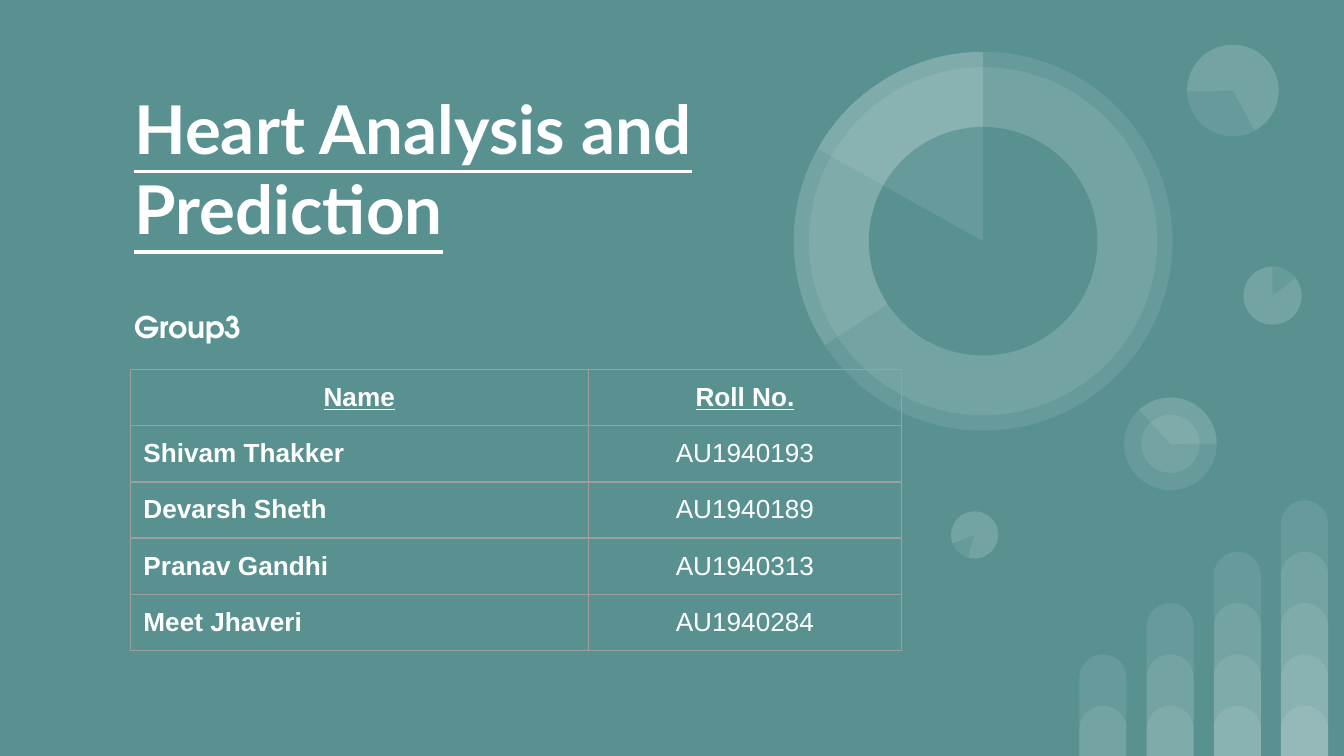
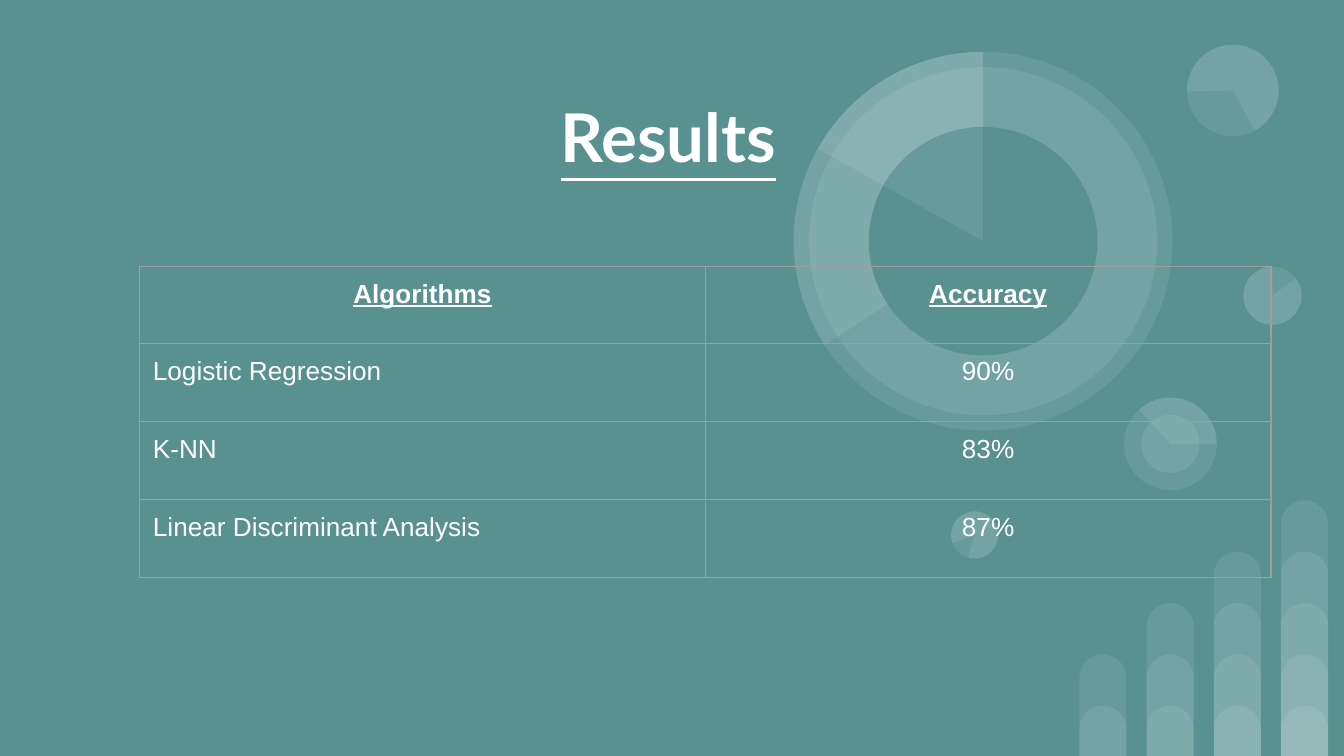
"""Build the two-slide deck on heart analysis and prediction."""
from dataclasses import dataclass

from lxml.etree import SubElement
from pptx import Presentation
from pptx.dml.color import RGBColor
from pptx.enum.shapes import MSO_SHAPE
from pptx.enum.text import MSO_ANCHOR, MSO_AUTO_SIZE, PP_ALIGN
from pptx.oxml import parse_xml
from pptx.oxml.ns import nsdecls, qn
from pptx.util import Cm, Pt


@dataclass(frozen=True)
class Theme:
    background: str = "599191"
    ink: str = "FFFFFF"
    border: str = "9E9E9E"
    border_width: float = 0.75
    opacity: int = 9
    inset: float = 0.25
    title_font: str = "Lato"
    subtitle_font: str = "TeX Gyre Adventor"
    table_font: str = "Arial"
    title_size: int = 36
    subtitle_size: int = 16
    table_size: int = 14


def write_text(frame, text, *, font, size, color, bold=False, underline=False,
               align=PP_ALIGN.LEFT):
    frame.text = text
    paragraph = frame.paragraphs[0]
    paragraph.alignment = align
    paragraph.space_before = Pt(0)
    style = paragraph.runs[0].font
    style.name, style.size = font, Pt(size)
    style.bold, style.underline = bold, underline
    style.color.rgb = RGBColor.from_string(color)


class Deck:
    WIDTH, HEIGHT = 25.4, 14.29
    TITLE_SLIDE, TITLE_ONLY = 0, 5

    def __init__(self, theme):
        self.theme = theme
        self.presentation = Presentation()
        self.presentation.slide_width = Cm(self.WIDTH)
        self.presentation.slide_height = Cm(self.HEIGHT)
        self.master = self.presentation.slide_master
        fill = self.master.background.fill
        fill.solid()
        fill.fore_color.rgb = RGBColor.from_string(theme.background)
        self.slide = None

    def new_slide(self, layout):
        layouts = self.presentation.slide_layouts
        self.slide = self.presentation.slides.add_slide(layouts[layout])

    def backdrop_shape(self, preset, box, adjustments=(), rotation=0, solid=False):
        shape = self.slide.shapes.add_shape(preset, *map(Cm, box))
        for index, value in enumerate(adjustments):
            shape.adjustments[index] = value
        shape.rotation = rotation
        shape.shadow.inherit = False
        shape.line.fill.background()
        shape.fill.solid()
        color = self.theme.background if solid else self.theme.ink
        shape.fill.fore_color.rgb = RGBColor.from_string(color)
        if not solid:
            tint = shape.element.xpath("./p:spPr/a:solidFill/a:srgbClr")[0]
            SubElement(tint, qn("a:alpha"), val=str(self.theme.opacity * 1000))
        siblings = self.master.shapes.element
        shape.element.xpath("./p:nvSpPr/p:cNvPr")[0].set("id", str(100 + len(siblings)))
        siblings.append(shape.element)

    def disc(self, center, diameter, rotation=0, solid=False):
        self.backdrop_shape(MSO_SHAPE.OVAL, self.around(center, diameter),
                            rotation=rotation, solid=solid)

    def sector(self, center, diameter, start, end=270, rotation=0):
        self.backdrop_shape(MSO_SHAPE.PIE, self.around(center, diameter),
                            (start * 0.6, end * 0.6), rotation)

    def bar(self, left, width, height):
        self.backdrop_shape(MSO_SHAPE.ROUND_2_SAME_RECTANGLE,
                            (left, self.HEIGHT - height, width, height), (0.5, 0))

    @staticmethod
    def around(center, diameter):
        x, y = center
        return x - diameter / 2, y - diameter / 2, diameter, diameter

    def placeholder(self, holder, text, box, anchor, **style):
        holder.left, holder.top, holder.width, holder.height = map(Cm, box)
        frame = holder.text_frame
        frame.word_wrap = True
        frame.auto_size = MSO_AUTO_SIZE.NONE
        frame.vertical_anchor = anchor
        frame.margin_left = frame.margin_right = Cm(self.theme.inset)
        frame.margin_top = frame.margin_bottom = Cm(self.theme.inset)
        write_text(frame, text, color=self.theme.ink, bold=True, **style)

    def title(self, text, box, align=PP_ALIGN.LEFT):
        self.placeholder(self.slide.shapes.title, text, box, MSO_ANCHOR.MIDDLE,
                         font=self.theme.title_font, size=self.theme.title_size,
                         underline=True, align=align)

    def subtitle(self, text, box):
        self.placeholder(self.slide.placeholders[1], text, box, MSO_ANCHOR.TOP,
                         font=self.theme.subtitle_font, size=self.theme.subtitle_size)

    def table(self, rows, left, top, widths, row_height, bold_labels=False):
        table = self.slide.shapes.add_table(
            len(rows), len(widths), Cm(left), Cm(top),
            Cm(sum(widths)), Cm(row_height * len(rows))).table
        table.first_row = table.horz_banding = False
        for column, width in zip(table.columns, widths):
            column.width = Cm(width)
        for row_index, row in enumerate(rows):
            table.rows[row_index].height = Cm(row_height)
            for column_index, text in enumerate(row):
                header, label = row_index == 0, column_index == 0
                cell = table.cell(row_index, column_index)
                self.format_cell(cell)
                write_text(cell.text_frame, text, font=self.theme.table_font,
                           size=self.theme.table_size, color=self.theme.ink,
                           bold=header or (label and bold_labels), underline=header,
                           align=PP_ALIGN.LEFT if label and not header
                           else PP_ALIGN.CENTER)

    def format_cell(self, cell):
        cell.margin_left = cell.margin_right = Cm(self.theme.inset)
        cell.margin_top = cell.margin_bottom = Cm(self.theme.inset)
        cell.fill.background()
        properties = cell._tc.get_or_add_tcPr()
        for index, side in enumerate(("lnL", "lnR", "lnT", "lnB")):
            properties.insert(index, parse_xml(
                f'<a:{side} {nsdecls("a")} w="{Pt(self.theme.border_width)}">'
                f'<a:solidFill><a:srgbClr val="{self.theme.border}"/></a:solidFill>'
                f'</a:{side}>'))


def draw_backdrop(deck):
    for column in range(4):
        for level in range(column + 2):
            deck.bar(20.4 + 1.27 * column, 0.89, 0.95 + 0.97 * level)

    right_pie, lower_pie = (24.05, 5.59), (18.42, 10.11)
    ringed_pie, corner_pie, donut = (22.12, 8.39), (23.3, 1.71), (18.58, 4.56)

    deck.disc(right_pie, 1.1)
    deck.sector(right_pie, 1.1, 322.95)
    deck.disc(lower_pie, 0.89, 196.2)
    deck.sector(lower_pie, 0.89, 322.95, rotation=196.2)
    deck.disc(ringed_pie, 1.75, 90)
    deck.sector(ringed_pie, 1.75, 137.41, 270.77, 90)
    deck.disc(ringed_pie, 1.1, 90)
    deck.disc(corner_pie, 1.73, 215.9)
    deck.sector(corner_pie, 1.73, 322.95, 205.23, 215.9)
    deck.disc(donut, 7.16)
    deck.disc(donut, 6.58, 34.1)
    deck.sector(donut, 7.16, 146.69)
    deck.disc(donut, 4.32, 34.1, solid=True)
    deck.sector(donut, 7.16, 209.24)


def main():
    deck = Deck(Theme())

    deck.new_slide(Deck.TITLE_SLIDE)
    draw_backdrop(deck)
    deck.title("Heart Analysis and Prediction", (2.29, 0.56, 14.99, 5.21))
    deck.subtitle("Group3", (2.29, 5.59, 11.81, 5.87))
    members = [
        ("Name", "Roll No."),
        ("Shivam Thakker", "AU1940193"),
        ("Devarsh Sheth", "AU1940189"),
        ("Pranav Gandhi", "AU1940313"),
        ("Meet Jhaveri", "AU1940284"),
    ]
    deck.table(members, 2.46, 6.99, (8.66, 5.92), 1.06, bold_labels=True)

    deck.new_slide(Deck.TITLE_ONLY)
    deck.title("Results", (2.29, 0.56, 20.68, 3.99), PP_ALIGN.CENTER)
    accuracies = [
        ("Algorithms", "Accuracy"),
        ("Logistic Regression", "90%"),
        ("K-NN", "83%"),
        ("Linear Discriminant Analysis", "87%"),
    ]
    deck.table(accuracies, 2.64, 5.03, (10.69, 10.69), 1.47)

    deck.presentation.save("out.pptx")


if __name__ == "__main__":
    main()
